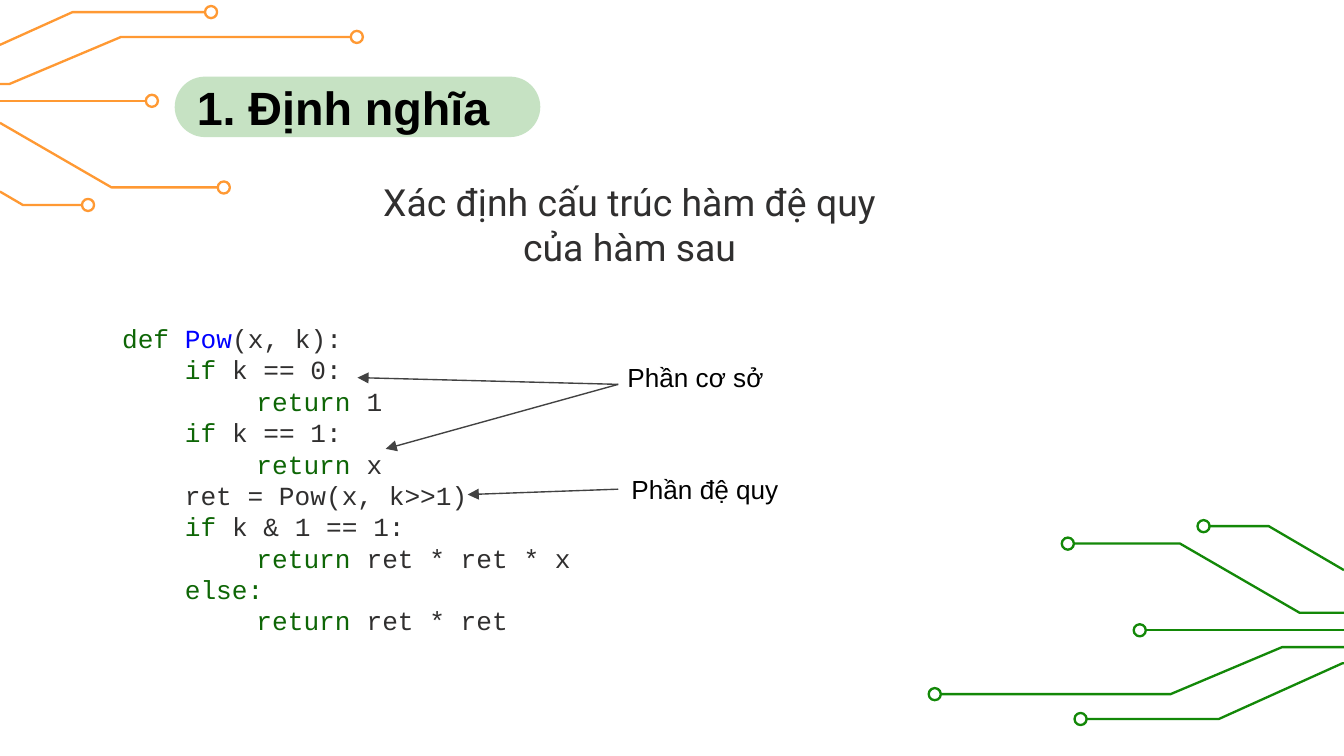
"""Build a slide that marks the base and recursive parts of a function."""
from dataclasses import dataclass

from lxml.etree import SubElement
from pptx import Presentation
from pptx.dml.color import RGBColor
from pptx.enum.shapes import MSO_CONNECTOR, MSO_SHAPE
from pptx.enum.text import MSO_ANCHOR, MSO_AUTO_SIZE, PP_ALIGN
from pptx.oxml.ns import qn
from pptx.util import Inches, Pt

CELL = 0.1
COLS, ROWS = 100, 56.25
GREEN, ORANGE = "138808", "FF9933"
KEY, NAME, PLAIN = "0E6606", "0000FF", "302F2F"
BLACK, GREY = "000000", "424242"
TABS = (0, 4.67, 10)
NODE = 0.45
TURN = (96.1, 54.4)


@dataclass
class Box:
    """A rectangle in grid cells."""
    col: float
    row: float
    wide: float
    high: float


@dataclass
class Trace:
    """A circuit line: node, then the start and end of its slant."""
    col: float
    row: float
    bend: float
    stop: float
    level: float


@dataclass
class Label:
    """A caption and the arrows that leave it."""
    text: str
    box: Box
    start: tuple
    ends: tuple


TRACES = (
    Trace(16.65, 13.95, 8.3, -0.6, 8.8),
    Trace(6.55, 15.25, 1.7, -7.1, 10.1),
    Trace(11.3, 7.5, 1, 0.5, 7.5),
    Trace(26.55, 2.75, 9, 0.7, 6.25),
    Trace(15.7, 0.9, 5.4, -3.8, 5.05),
)

LABELS = (
    Label("Phần cơ sở", Box(45.7, 26.4, 16.3, 3.4), (46, 28.6), ((26.6, 28.1), (28.7, 33.4))),
    Label("Phần đệ quy", Box(46, 34.7, 16.3, 3.4), (46, 36.4), ((34.8, 36.8),)),
)

CODE = (
    (0, (("def ", KEY), ("Pow", NAME), ("(x, k):", PLAIN))),
    (1, (("if ", KEY), ("k == 0:", PLAIN))),
    (2, (("return ", KEY), ("1", PLAIN))),
    (1, (("if ", KEY), ("k == 1:", PLAIN))),
    (2, (("return ", KEY), ("x", PLAIN))),
    (1, (("ret = Pow(x, k>>1)", PLAIN),)),
    (1, (("if ", KEY), ("k & 1 == 1:", PLAIN))),
    (2, (("return ", KEY), ("ret * ret * x", PLAIN))),
    (1, (("else:", KEY),)),
    (2, (("return ", KEY), ("ret * ret", PLAIN))),
)


def cells(count: float) -> int:
    """Turn grid cells into a length."""
    return Inches(count * CELL)


def paint(part, tone: str) -> None:
    """Give a fill or font a colour."""
    if hasattr(part, "solid"):
        part.solid()
        part.fore_color.rgb = RGBColor.from_string(tone)
    else:
        part.color.rgb = RGBColor.from_string(tone)


def stroke(shape, tone: str, width: float) -> None:
    """Set the outline of a shape."""
    paint(shape.line.fill, tone)
    shape.line.width = Pt(width)


def style(para, face: str, size: float, tone: str) -> None:
    """Set the font of a paragraph."""
    para.font.name, para.font.size = face, Pt(size)
    paint(para.font, tone)


def place(shape, box: Box) -> None:
    """Move a shape to a grid rectangle."""
    shape.left, shape.top = cells(box.col), cells(box.row)
    shape.width, shape.height = cells(box.wide), cells(box.high)


def write(slide, box: Box):
    """Add a wrapping text box and return its frame."""
    shape = slide.shapes.add_textbox(0, 0, 0, 0)
    place(shape, box)
    shape.text_frame.word_wrap = True
    return shape.text_frame


def draw_trace(slide, trace: Trace, tone: str, turned: bool) -> None:
    """Draw one circuit line cut at the slide edge, with its node."""
    edge = TURN[0] - COLS if turned else 0
    path = [(trace.col - NODE, trace.row), (trace.bend, trace.row)]
    if trace.stop > edge:
        path += [(trace.stop, trace.level), (edge, trace.level)]
    else:
        share = (trace.bend - edge) / (trace.bend - trace.stop)
        path.append((edge, trace.row + share * (trace.level - trace.row)))
    path.append((trace.col, trace.row))
    if turned:
        path = [(TURN[0] - x, TURN[1] - y) for x, y in path]
    *path, (col, row) = path
    path = [(cells(x), cells(y)) for x, y in path]
    pen = slide.shapes.build_freeform(*path[0])
    pen.add_line_segments(path[1:], close=False)
    line = pen.convert_to_shape()
    ring = slide.shapes.add_shape(MSO_SHAPE.OVAL, 0, 0, 0, 0)
    place(ring, Box(col - NODE, row - NODE, 2 * NODE, 2 * NODE))
    for shape in (line, ring):
        shape.shadow.inherit = False
        shape.fill.background()
        stroke(shape, tone, 1.25)


def draw_head(slide, text: str) -> None:
    """Draw the heading in a tinted pill."""
    pill = slide.shapes.add_shape(MSO_SHAPE.ROUNDED_RECTANGLE, 0, 0, 0, 0)
    place(pill, Box(13, 5.7, 27.2, 4.5))
    pill.adjustments[0] = 0.5
    pill.shadow.inherit = False
    pill.line.fill.background()
    paint(pill.fill, GREEN)
    shade = pill.element.spPr.find(".//" + qn("a:srgbClr"))
    SubElement(shade, qn("a:alpha"), val="24000")
    frame = pill.text_frame
    frame.text = text
    frame.vertical_anchor = MSO_ANCHOR.MIDDLE
    para = frame.paragraphs[0]
    para.alignment = PP_ALIGN.LEFT
    style(para, "Arial", 25, BLACK)
    para.font.bold = True


def draw_task(slide, text: str) -> None:
    """Write the task in the subtitle placeholder."""
    shape = slide.placeholders[1]
    place(shape, Box(5, 13.5, 83.7, 7.5))
    frame = shape.text_frame
    frame.auto_size = MSO_AUTO_SIZE.NONE
    frame.vertical_anchor = MSO_ANCHOR.BOTTOM
    frame.margin_bottom = cells(1)
    frame.text = text
    for para in frame.paragraphs:
        para.alignment = PP_ALIGN.CENTER
        para.space_before = Pt(0)
        style(para, "Roboto", 20, PLAIN)


def draw_code(slide) -> None:
    """Write the coloured code lines."""
    frame = write(slide, Box(8.1, 23.5, 45.9, 24.6))
    for spot, (level, parts) in enumerate(CODE):
        para = frame.add_paragraph() if spot else frame.paragraphs[0]
        para.line_spacing = Pt(16.8)
        style(para, "Courier New", 14, PLAIN)
        para._p.get_or_add_pPr().set("marL", str(cells(TABS[level])))
        for text, tone in parts:
            run = para.add_run()
            run.text = text
            paint(run.font, tone)


def draw_label(slide, label: Label) -> None:
    """Write a caption and draw its arrows."""
    frame = write(slide, label.box)
    frame.text = label.text
    style(frame.paragraphs[0], "Arial", 14, BLACK)
    for end in label.ends:
        ends = map(cells, (*label.start, *end))
        arrow = slide.shapes.add_connector(MSO_CONNECTOR.STRAIGHT, *ends)
        stroke(arrow, GREY, 0.75)
        SubElement(arrow.line._get_or_add_ln(), qn("a:tailEnd"), type="triangle")
        SubElement(arrow._element.spPr, qn("a:effectLst"))


def main() -> None:
    """Build and save the slide."""
    deck = Presentation()
    deck.slide_width, deck.slide_height = cells(COLS), cells(ROWS)
    slide = deck.slides.add_slide(deck.slide_layouts[0])
    title = slide.shapes.title.element
    title.getparent().remove(title)
    for tone, turned in ((GREEN, True), (ORANGE, False)):
        for trace in TRACES:
            draw_trace(slide, trace, tone, turned)
    draw_task(slide, "Xác định cấu trúc hàm đệ quy\ncủa hàm sau")
    draw_code(slide)
    draw_head(slide, "1. Định nghĩa")
    for label in LABELS:
        draw_label(slide, label)
    deck.save("out.pptx")


if __name__ == "__main__":
    main()
